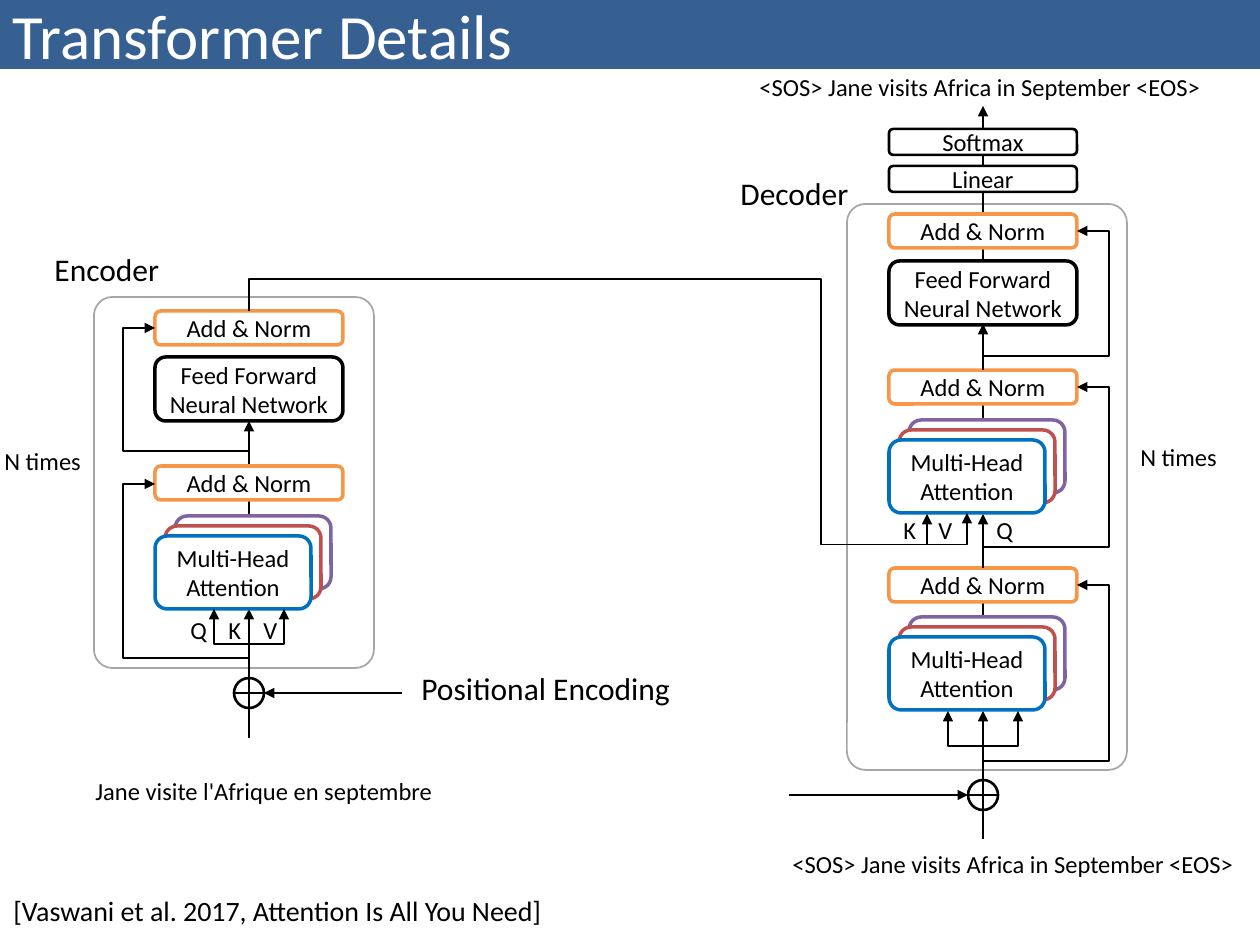
from lxml import etree
from pptx import Presentation
from pptx.dml.color import RGBColor
from pptx.enum.shapes import MSO_CONNECTOR, MSO_SHAPE
from pptx.enum.text import MSO_ANCHOR, MSO_AUTO_SIZE, PP_ALIGN
from pptx.oxml.ns import qn
from pptx.util import Pt

PX = 914400 / 126
TITLE_ONLY = 5
ROUNDED = MSO_SHAPE.ROUNDED_RECTANGLE
SUM_SIGN = MSO_SHAPE.FLOWCHART_OR
STRAIGHT, ELBOW = MSO_CONNECTOR.STRAIGHT, MSO_CONNECTOR.ELBOW
LEFT, CENTER = PP_ALIGN.LEFT, PP_ALIGN.CENTER
MIDDLE = MSO_ANCHOR.MIDDLE
FIT_SHAPE, FIXED_SIZE = MSO_AUTO_SIZE.SHAPE_TO_FIT_TEXT, MSO_AUTO_SIZE.NONE

BLACK = RGBColor(0x00, 0x00, 0x00)
WHITE = RGBColor(0xFF, 0xFF, 0xFF)
GRAY = RGBColor(0xA6, 0xA6, 0xA6)
NAVY = RGBColor(0x37, 0x60, 0x92)
ORANGE = RGBColor(0xF7, 0x96, 0x46)
PURPLE = RGBColor(0x80, 0x64, 0xA2)
RED = RGBColor(0xC0, 0x50, 0x4D)
BLUE = RGBColor(0x00, 0x70, 0xC0)

ENCODER, DECODER = 249, 983  # centre lines of the two columns
BLOCK_WIDTH = 188
SENTENCE = "<SOS> Jane visits Africa in September <EOS>"


def px(length):
    return round(length * PX)


def set_values(target, values):
    for name, value in values.items():
        setattr(target, name, value)


class Diagram:
    font_name = "Calibri"
    text_size = 14

    def __init__(self, slide):
        self.slide = slide
        self.shapes = slide.shapes

    def set_text(self, frame, text, size, color=BLACK, align=LEFT, tabs=()):
        frame.text = text
        for paragraph in frame.paragraphs:
            paragraph.alignment = align
            if tabs:
                properties = paragraph._p.get_or_add_pPr()
                tab_list = etree.SubElement(properties, qn("a:tabLst"))
                for stop in tabs:
                    etree.SubElement(tab_list, qn("a:tab"), pos=str(px(stop)), algn="l")
            for run in paragraph.runs:
                set_values(run.font, {"name": self.font_name, "size": Pt(size)})
                run.font.color.rgb = color

    def title(self, text, height):
        title = self.shapes.title
        set_values(title, {"left": 0, "top": 0, "width": px(1260), "height": px(height)})
        title.fill.solid()
        title.fill.fore_color.rgb = NAVY
        set_values(title.text_frame, {"vertical_anchor": MIDDLE, "auto_size": FIXED_SIZE})
        self.set_text(title.text_frame, text, 36, WHITE)

    def label(self, text, left, top, width, height=43, size=text_size, wrap=False, tabs=()):
        box = self.shapes.add_textbox(px(left), px(top), px(width), px(height))
        set_values(box.text_frame, {"word_wrap": wrap, "auto_size": FIT_SHAPE})
        self.set_text(box.text_frame, text, size, tabs=tabs)

    def box(self, left, top, width, height, color, text="", weight=2, kind=ROUNDED, corner=None):
        shape = self.shapes.add_shape(kind, px(left), px(top), px(width), px(height))
        shape.shadow.inherit = False
        shape.fill.solid()
        shape.fill.fore_color.rgb = WHITE
        shape.line.color.rgb = color
        shape.line.width = Pt(weight)
        if corner is not None:
            shape.adjustments[0] = corner
        if text:
            set_values(shape.text_frame, {"margin_left": 0, "margin_right": 0,
                                          "word_wrap": True, "vertical_anchor": MIDDLE})
            self.set_text(shape.text_frame, text, self.text_size, align=CENTER)

    def block(self, center, top, height, color, text, weight=2):
        self.box(center - BLOCK_WIDTH // 2, top, BLOCK_WIDTH, height, color, text, weight)

    def add_norm(self, center, top):
        self.block(center, top, 34, ORANGE, "Add & Norm")

    def feed_forward(self, center, top):
        self.block(center, top, 64, BLACK, "Feed Forward Neural Network")

    def attention(self, center, top):
        """Stack three heads, with the front one at top."""
        left = center - BLOCK_WIDTH // 2
        for shift, color, text in ((20, PURPLE, ""), (10, RED, ""), (0, BLUE, "Multi-Head\nAttention")):
            self.box(left + shift, top - shift, 156, 73, color, text)

    def sum_sign(self, center, top):
        self.box(center - 15, top, 30, 30, BLACK, weight=1.5, kind=SUM_SIGN)

    def arrow(self, start, end, kind=STRAIGHT):
        points = [px(value) for value in (*start, *end)]
        connector = self.shapes.add_connector(kind, *points)
        connector.line.color.rgb = BLACK
        connector.line.width = Pt(0.75)
        properties = connector.element.spPr
        etree.SubElement(properties.find(qn("a:ln")), qn("a:tailEnd"), type="triangle")
        etree.SubElement(properties, qn("a:effectLst"))
        return connector

    def bent_arrow(self, start, end, *turns):
        """Leave start vertically; turns are the y, x, y, ... of the inner segments."""
        (x0, y0), (x1, y1) = start, end
        connector = self.arrow(start, end, ELBOW)
        width, height = abs(y1 - y0), abs(x1 - x0)
        set_values(connector, {"left": px((x0 + x1 - width) / 2), "top": px((y0 + y1 - height) / 2),
                               "width": px(width), "height": px(height)})
        # A quarter turn makes the first segment vertical.
        rightward = x1 > x0
        frame = connector.element.spPr.find(qn("a:xfrm"))
        frame.set("rot", str((90 if rightward and y1 < y0 else 270) * 60000))
        frame.set("flipH", str(int(rightward or y1 > y0)))
        frame.set("flipV", str(int(y1 < y0)))
        geometry = connector.element.spPr.find(qn("a:prstGeom"))
        geometry.set("prst", f"bentConnector{len(turns) + 2}")
        guides = geometry.find(qn("a:avLst"))
        for index, turn in enumerate(turns):
            ratio = (turn - x0) / (x1 - x0) if index % 2 else (turn - y0) / (y1 - y0)
            etree.SubElement(guides, qn("a:gd"), name=f"adj{index + 1}",
                             fmla=f"val {round(ratio * 100000)}")


def main():
    presentation = Presentation()
    presentation.slide_width, presentation.slide_height = px(1260), px(945)
    diagram = Diagram(presentation.slides.add_slide(presentation.slide_layouts[TITLE_ONLY]))
    diagram.title("Transformer Details", 69)

    for name, name_left, name_top, left, top, height in (
            ("Decoder", 728, 168, 847, 204, 566), ("Encoder", 42, 244, 94, 297, 371)):
        diagram.box(left, top, 280, height, GRAY, weight=1, corner=0.066)
        diagram.label(name, name_left, name_top, 133, 50, 18)

    for center, bottom, top in ((DECODER, 261, 106), (DECODER, 421, 324), (DECODER, 617, 514),
                                (DECODER, 839, 711), (ENCODER, 527, 421), (ENCODER, 738, 609)):
        diagram.arrow((center, bottom), (center, top))

    for center, top in ((ENCODER, 357), (DECODER, 261)):
        diagram.feed_forward(center, top)
    for center, top in ((ENCODER, 536), (DECODER, 440), (DECODER, 637)):
        diagram.attention(center, top)
    for center, top in ((ENCODER, 466), (ENCODER, 311), (DECODER, 370), (DECODER, 214), (DECODER, 568)):
        diagram.add_norm(center, top)
    for text, top in (("Linear", 166), ("Softmax", 129)):
        diagram.block(DECODER, top, 26, BLACK, text, 1.5)

    for center, start, turn, end in ((ENCODER, 678, 644, 609), (DECODER, 780, 746, 711)):
        for shift in (35, -35):
            diagram.bent_arrow((center, start), (center + shift, end), turn)

    for center, side, start, turn, end in (
            (ENCODER, -1, 678, 658, 484), (ENCODER, -1, 452, 451, 328),
            (DECODER, 1, 568, 547, 387), (DECODER, 1, 370, 356, 231), (DECODER, 1, 780, 761, 585)):
        diagram.bent_arrow((center, start), (center + side * 94, end), turn, center + side * 126)

    diagram.bent_arrow((ENCODER, 311), (967, 513), 279, 821, 545)
    diagram.arrow((927, 545), (927, 514))

    for center, top, tail in ((ENCODER, 678, 402), (DECODER, 780, 789)):
        diagram.sum_sign(center, top)
        side = 15 if tail > center else -15
        diagram.arrow((tail, top + 15), (center + side, top + 15))

    diagram.label("Positional Encoding", 409, 663, 277, 50, 18)
    diagram.label(SENTENCE, 747, 66, 470)
    diagram.label("Jane visite l'Afrique en septembre", 83, 770, 372)
    diagram.label(SENTENCE, 780, 843, 470)
    for left, top in ((1128, 436), (-8, 440)):
        diagram.label("N times", left, top, 103)
    diagram.label("Q\tK\tV", 178, 609, 113, tabs=(38, 73))
    diagram.label("K\tV\tQ", 891, 509, 135, tabs=(35, 93))
    diagram.label("[Vaswani et al. 2017, Attention Is All You Need]", 1, 887, 1259, 47, 16, wrap=True)
    presentation.save("out.pptx")


if __name__ == "__main__":
    main()
